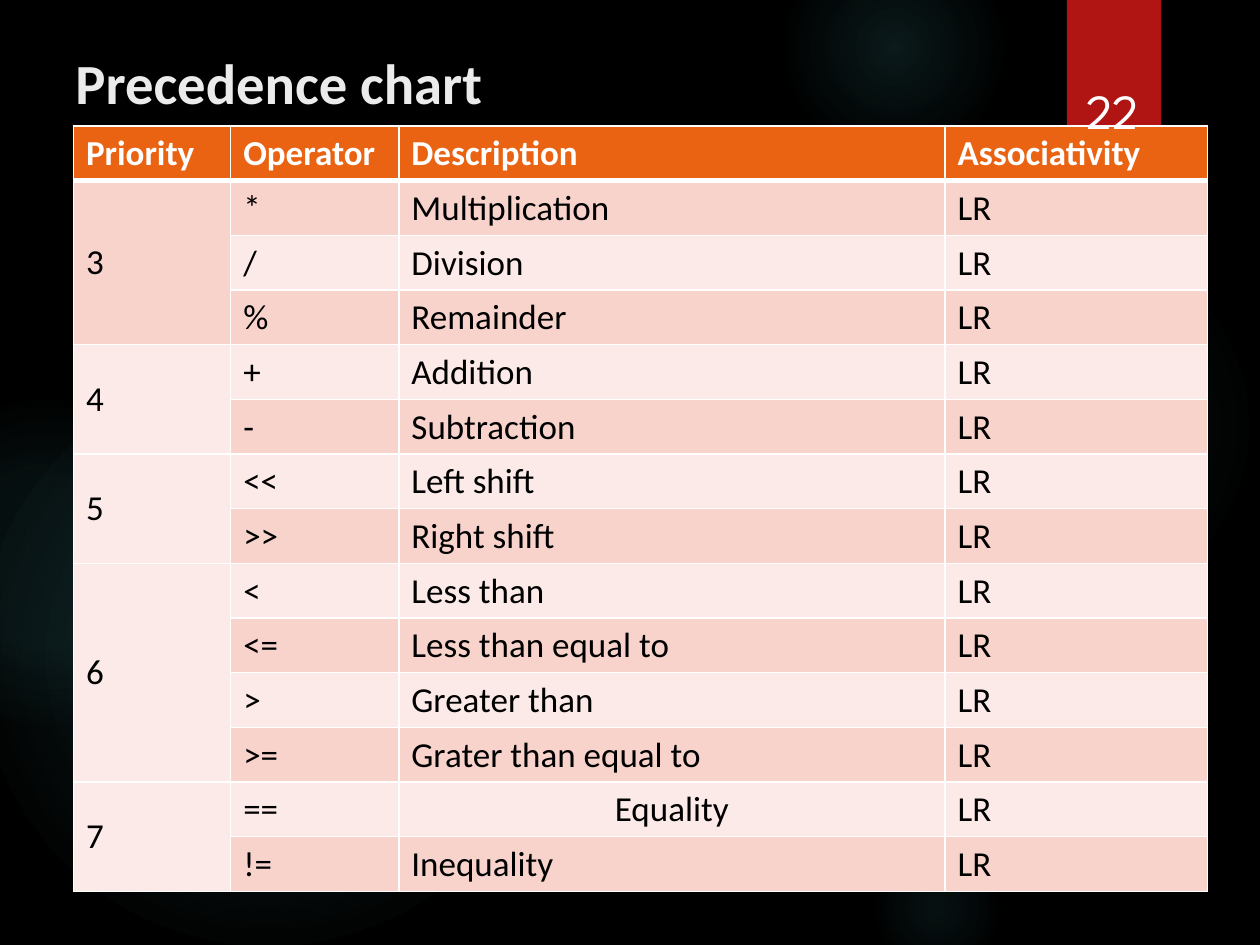
"""Build the operator precedence chart slide."""
from lxml import etree
from pptx import Presentation
from pptx.dml.color import RGBColor
from pptx.enum.shapes import MSO_SHAPE
from pptx.enum.text import MSO_ANCHOR, PP_ALIGN
from pptx.oxml import parse_xml
from pptx.oxml.ns import nsdecls
from pptx.util import Cm, Pt

OVAL, RECT = MSO_SHAPE.OVAL, MSO_SHAPE.RECTANGLE
TOP, MIDDLE, BOTTOM = MSO_ANCHOR.TOP, MSO_ANCHOR.MIDDLE, MSO_ANCHOR.BOTTOM
LEFT, CENTER = PP_ALIGN.LEFT, PP_ALIGN.CENTER

COLORS = {"back": "000000", "glow": "50B9C1", "tab": "B01513", "title": "EBEBEB",
          "header": "EA6312", "odd": "F7D3CC", "even": "FBEAE7",
          "white": "FFFFFF", "text": "000000"}

HEADERS = ["Priority", "Operator", "Description", "Associativity"]
GROUPS = [
    ("3", [("*", "Multiplication"), ("/", "Division"), ("%", "Remainder")]),
    ("4", [("+", "Addition"), ("-", "Subtraction")]),
    ("5", [("<<", "Left shift"), (">>", "Right shift")]),
    ("6", [("<", "Less than"), ("<=", "Less than equal to"),
           (">", "Greater than"), (">=", "Grater than equal to")]),
    ("7", [("==", "Equality"), ("!=", "Inequality")]),
]
ASSOCIATIVITY = "LR"
CENTERED = "Equality"
COL_WIDTHS = [3.17, 3.39, 11.01, 5.29]
ROW_HEIGHT = 1.1
TABLE_LEFT, TABLE_TOP = 1.48, 2.54

# left, top, diameter, (position, opacity) stops in percent
GLOWS = [
    (17.5, 4.65, 7.82, [(0, 7), (36, 6), (69, 0)]),
    (15.8, -1.27, 4.45, [(0, 14), (36, 7), (73, 0)]),
    (17.5, 16.94, 2.74, [(0, 9), (36, 5), (66, 0)]),
    (-0.43, 7.42, 11.64, [(0, 11), (36, 10), (75, 0)]),
    (-2.34, 8.05, 6.55, [(0, 8), (36, 8), (72, 0)]),
]


def rgb(name):
    return RGBColor.from_string(COLORS[name])


def add_block(s, kind, box, fill):
    sp = s.shapes.add_shape(kind, *map(Cm, box))
    sp.shadow.inherit = False
    sp.line.fill.background()
    sp.fill.solid()
    sp.fill.fore_color.rgb = rgb(fill)
    return sp


def add_glow(s, left, top, size, stops):
    sp = add_block(s, OVAL, (left, top, size, size), "glow")
    gs = "".join(
        f'<a:gs pos="{pos * 1000}"><a:srgbClr val="{COLORS["glow"]}">'
        f'<a:alpha val="{alpha * 1000}"/></a:srgbClr></a:gs>' for pos, alpha in stops)
    gradient = parse_xml(
        f'<a:gradFill {nsdecls("a")} rotWithShape="1"><a:gsLst>{gs}</a:gsLst>'
        '<a:path path="circle"><a:fillToRect l="50000" t="50000" r="50000" b="50000"/>'
        '</a:path></a:gradFill>')
    spPr = sp.fill._xPr
    spPr.replace(spPr.find("{*}solidFill"), gradient)


def write(tf, text, color, align=LEFT, **font):
    p = tf.paragraphs[0]
    p.alignment = align
    r = p.add_run()
    r.text = text
    r.font.color.rgb = rgb(color)
    for name, value in font.items():
        setattr(r.font, name, value)


def add_text(s, box, text, color, anchor, align=LEFT, **font):
    tf = s.shapes.add_textbox(*map(Cm, box)).text_frame
    tf.word_wrap = True
    tf.vertical_anchor = anchor
    write(tf, text, color, align, **font)


def set_borders(cell, widths):
    tcPr = cell._tc.get_or_add_tcPr()
    for side, width in widths.items():
        ln = etree.SubElement(tcPr, tcPr.tag.replace("tcPr", "ln" + side), w=str(Pt(width)))
        fill = etree.SubElement(ln, tcPr.tag.replace("tcPr", "solidFill"))
        etree.SubElement(fill, tcPr.tag.replace("tcPr", "srgbClr"), val=COLORS["white"])


def add_precedence_table(s):
    rows = [HEADERS]
    spans = []
    for priority, operators in GROUPS:
        spans.append((len(rows), len(rows) + len(operators) - 1))
        for i, (operator, description) in enumerate(operators):
            rows.append([priority if i == 0 else "", operator, description, ASSOCIATIVITY])

    table = s.shapes.add_table(
        len(rows), len(HEADERS), Cm(TABLE_LEFT), Cm(TABLE_TOP),
        Cm(sum(COL_WIDTHS)), Cm(ROW_HEIGHT * len(rows))).table
    table.horz_banding = False
    for column, width in zip(table.columns, COL_WIDTHS):
        column.width = Cm(width)
    for i, values in enumerate(rows):
        table.rows[i].height = Cm(ROW_HEIGHT)
        header = i == 0
        fill = "header" if header else "odd" if i % 2 else "even"
        for j, text in enumerate(values):
            cell = table.cell(i, j)
            set_borders(cell, {"L": 1, "R": 1, "T": 3 if i == 1 else 1, "B": 3 if header else 1})
            cell.fill.solid()
            cell.fill.fore_color.rgb = rgb(fill)
            cell.vertical_anchor = TOP if text == ASSOCIATIVITY else MIDDLE
            if text:
                write(cell.text_frame, text, "white" if header else "text",
                      CENTER if text == CENTERED else LEFT,
                      name="Calibri", size=Pt(20), bold=header)
    for first, last in spans:
        table.cell(first, 0).merge(table.cell(last, 0))


def main():
    prs = Presentation()
    prs.slide_width, prs.slide_height = Cm(25.4), Cm(19.05)
    s = prs.slides.add_slide(prs.slide_layouts[6])
    s.background.fill.solid()
    s.background.fill.fore_color.rgb = rgb("back")
    for glow in GLOWS:
        add_glow(s, *glow)
    add_block(s, RECT, (21.51, 0, 1.9, 3.05), "tab")
    add_text(s, (1.27, 0.76, 22.86, 1.78), "Precedence chart", "title", MIDDLE,
             name="Calibri", size=Pt(32.4), bold=True)
    add_precedence_table(s)
    add_text(s, (21.56, 0.81, 1.75, 2.13), "22", "white", BOTTOM, CENTER,
             name="League Spartan", size=Pt(28))
    prs.save("out.pptx")


if __name__ == "__main__":
    main()
